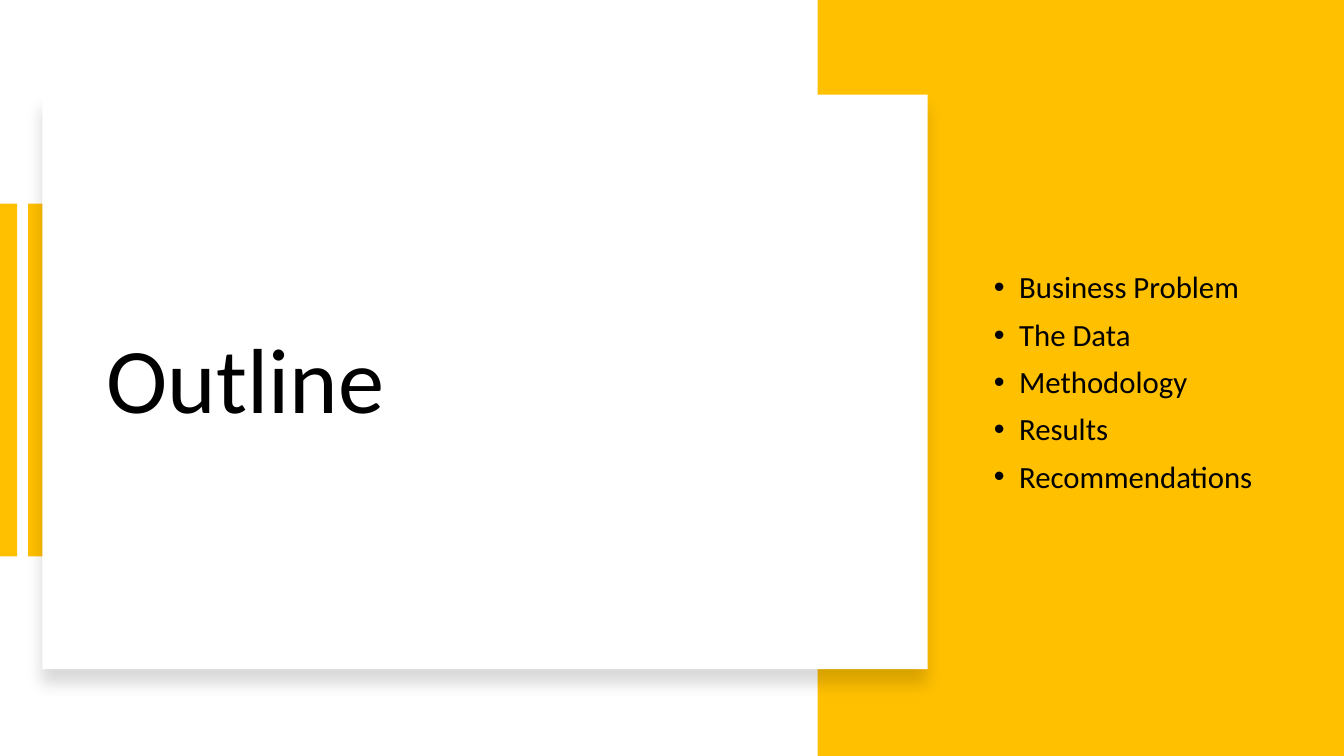
from lxml.etree import SubElement
from pptx import Presentation
from pptx.dml.color import RGBColor
from pptx.enum.shapes import MSO_SHAPE as Shape
from pptx.enum.text import MSO_ANCHOR as Anchor
from pptx.oxml.ns import qn
from pptx.util import Emu, Pt

EMU_PER_PX = 9144
GOLD, WHITE, BLACK = "FFC000", "FFFFFF", "000000"


def px(length):
    return Emu(length * EMU_PER_PX)


def colour(value):
    return RGBColor.from_string(value)


class OutlineSlide:
    font = "Calibri"
    ink = BLACK
    line_spacing = 0.9

    def __init__(self, deck):
        self.page = deck.slides.add_slide(deck.slide_layouts[6])

    def panel(self, left, top, width, height, fill):
        box = self.page.shapes.add_shape(
            Shape.RECTANGLE, px(left), px(top), px(width), px(height))
        box.shadow.inherit = False
        box.fill.solid()
        box.fill.fore_color.rgb = colour(fill)
        box.line.fill.background()
        return box

    def card(self, left, top, width, height):
        box = self.panel(left, top, width, height, WHITE)
        effects = box._element.spPr.find(qn("a:effectLst"))
        shadow = SubElement(effects, qn("a:outerShdw"), blurRad=str(Pt(11)),
                            dist=str(Pt(10)), dir="5400000", algn="t",
                            rotWithShape="0")
        tint = SubElement(shadow, qn("a:srgbClr"), val=BLACK)
        SubElement(tint, qn("a:alpha"), val="15000")

    def text(self, left, top, width, height, lines, size, space_before=0):
        box = self.page.shapes.add_textbox(
            px(left), px(top), px(width), px(height))
        frame = box.text_frame
        frame.word_wrap = True
        frame.vertical_anchor = Anchor.MIDDLE
        frame.text = "\n".join(lines)
        for para in frame.paragraphs:
            para.line_spacing = self.line_spacing
            para.space_before = Pt(space_before)
            para.font.name = self.font
            para.font.size = Pt(size)
            para.font.color.rgb = colour(self.ink)
        return frame

    def bullets(self, left, top, width, height, lines, size):
        frame = self.text(left, top, width, height, lines, size, 10)
        for para in frame.paragraphs:
            props = para._p.get_or_add_pPr()
            props.set("marL", str(px(38)))
            props.set("indent", str(px(-25)))
            marker_font = props.makeelement(qn("a:buFont"), {"typeface": "Arial"})
            marker = props.makeelement(qn("a:buChar"), {"char": "•"})
            position = list(props).index(props.find(qn("a:defRPr")))
            props[position:position] = [marker_font, marker]


def main():
    deck = Presentation()
    deck.slide_width, deck.slide_height = px(1333), px(750)
    slide = OutlineSlide(deck)
    for left in (0, 28):
        slide.panel(left, 202, 17, 350, GOLD)
    slide.panel(811, 0, 522, 750, GOLD)
    slide.card(42, 94, 878, 570)
    slide.text(96, 161, 777, 439, ["Outline"], 66)
    slide.bullets(963, 202, 328, 357, [
        "Business Problem", "The Data", "Methodology", "Results",
        "Recommendations"], 22)
    deck.save("out.pptx")


if __name__ == "__main__":
    main()
